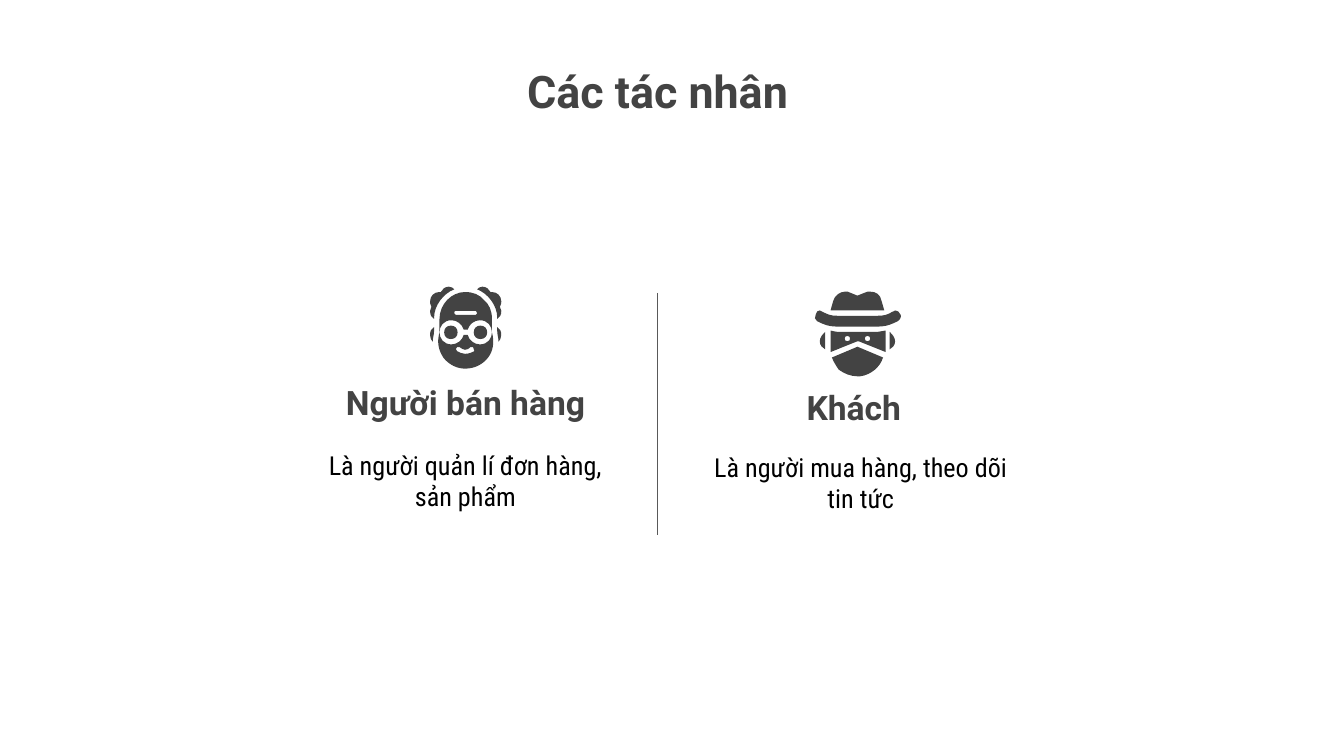
from lxml.etree import SubElement
from pptx import Presentation
from pptx.dml.color import RGBColor
from pptx.enum.shapes import MSO_CONNECTOR
from pptx.enum.text import MSO_ANCHOR, PP_ALIGN
from pptx.oxml.ns import qn
from pptx.util import Pt

CELL = 0.72

EAR = "3,30 1,31,0,33,0,36 0,38,1,40,2,41 2,38,3,36,3,33"
HAIR = ("14,0 11,0,9,2,8,4 8,4,7,4,7,4 3,4,0,7,0,11 0,12,0,13,1,15 0,16,0,17,0,18 "
        "0,21,1,23,3,24 3,23 3,14,10,5,18,2 17,1,16,0,14,0")
LENS = "15.5,29 12.5,29,10.5,31,10.5,34 10.5,37,12.5,39,15.5,39 18.5,39,20.5,37,20.5,34 20.5,31,18.5,29,15.5,29"
WRINKLE = "34,18 34,18,35,19,35,20 35,21,34,21,34,21 19,21 18,21,18,21,18,20 18,19,18,18,19,18"
GLASSES = ("37,25 49,25,49,43,37,43 33,43,29,40,28,36 25,36 24,40,20,43,16,43 "
           "4,43,4,25,16,25 20,25,24,28,25,32 28,32 29,28,33,25,37,25")
SMILE = ("31,45 32,45,32,45,32,45 33,46,33,47,33,48 31,49,29,50,26,50 24,50,22,49,20,48 "
         "19,47,19,46,20,45 20,45,21,45,21,45 22,45,22,45,22,45 23,46,25,47,26,47 "
         "28,47,29,46,30,45 30,45,31,45,31,45")
HEAD = ("26,4 16,4,7,13,7,24 7,34 5,41,6,47,10,53 14,58,20,61,26,61 "
        "33,61,39,58,43,53 47,48,48,41,46,34 46,24 46,18,44,13,40,10 37,6,32,4,26,4")

SIDE_EAR = "8,30 6,32,4,34,4,37 4,40,6,42,8,43"
CROWN = ("23,0 19,0,15,3,14,7 12,14 14,14,15,14,17,14 47,14 49,14,50,14,52,14 "
         "50,7 49,2,46,0,41,0 40,0,39,0,37,1 32,3 27,1 26,0,24,0,23,0")
BRIM = ("4,14 3,14,1,15,1,17 0,19,0,21,2,22 6,24,10,26,17,26 47,26 "
        "54,26,58,24,62,22 64,21,65,18,64,17 63,15,62,14,60,14 60,14,59,15,58,15 "
        "55,17,52,18,47,18 17,18 12,18,10,17,6,15 5,15,5,14,4,14")
EYE = "24.5,33 26,33,26.5,34,26.5,35 26.5,36,26,37,24.5,37 23,37,22.5,36,22.5,35 22.5,34,23,33,24.5,33"
FACE = ("12,29 12,42 12,43,12,44,12,45 32,37 32,37,32,37,32,37 32,37,33,37,33,37 "
        "53,45 53,44,53,43,53,42 53,29 51,29,49,30,47,30 17,30 15,30,13,29,12,29")
MASK = "32,41 13,49 14,52,16,55,18,58 22,61,27,63,32,63 34,63 42,62,49,56,51,49 32,41"


def color(value):
    return RGBColor.from_string(value)


def trace(contour):
    segments = []
    for segment in contour.split():
        n = [float(v) for v in segment.split(",")]
        segments.append(list(zip(n[::2], n[1::2])))
    return segments


def mirror(segments, width):
    return [[(width - x, y) for x, y in points] for points in segments]


class Slide:
    dark = "434343"
    black = "000000"
    rule = "595959"
    heading_font = "Roboto"
    body_font = "Roboto Condensed"
    inset = Pt(7.2)

    def __init__(self, prs):
        self.s = prs.slides.add_slide(prs.slide_layouts[6])

    def text(self, box, words, size, font, ink, bold=False, anchor=MSO_ANCHOR.TOP):
        tf = self.s.shapes.add_textbox(*map(Pt, box)).text_frame
        tf.word_wrap = True
        tf.vertical_anchor = anchor
        tf.margin_left = tf.margin_right = self.inset
        tf.margin_top = tf.margin_bottom = self.inset
        p = tf.paragraphs[0]
        p.alignment = PP_ALIGN.CENTER
        r = p.add_run()
        r.text = words
        r.font.name = font
        r.font.size = Pt(size)
        r.font.bold = bold
        r.font.color.rgb = color(ink)

    def heading(self, box, words, size, anchor):
        self.text(box, words, size, self.heading_font, self.dark, True, anchor)

    def body(self, box, words):
        self.text(box, words, 14, self.body_font, self.black)

    def divider(self, x, top, bottom):
        line = self.s.shapes.add_connector(MSO_CONNECTOR.STRAIGHT, Pt(x), Pt(top), Pt(x), Pt(bottom))
        line.line.color.rgb = color(self.rule)
        line.line.width = Pt(0.75)
        SubElement(line._element.spPr, qn("a:effectLst"))

    def icon(self, left, top, parts):
        group = self.s.shapes.add_group_shape()
        for contours in parts:
            self.outline(group, left, top, contours)

    def outline(self, group, left, top, contours):
        placed = [[[(Pt(left + x * CELL), Pt(top + y * CELL)) for x, y in points]
                   for points in segments] for segments in contours]
        builder = group.shapes.build_freeform(*placed[0][0][0], scale=1.0)
        for i, segments in enumerate(placed):
            if i:
                builder.move_to(*segments[0][0])
            builder.add_line_segments([points[-1] for points in segments[1:]], close=True)
        sp = builder.convert_to_shape()
        sp.shadow.inherit = False
        sp.fill.solid()
        sp.fill.fore_color.rgb = color(self.dark)
        sp.line.fill.background()
        drawn = [points for segments in placed for points in segments[1:]]
        for edge, points in zip(list(sp._element.iter(qn("a:lnTo"))), drawn):
            if len(points) == 3:
                edge.tag = qn("a:cubicBezTo")
                for i, (x, y) in enumerate(points[:2]):
                    edge.insert(i, edge.makeelement(qn("a:pt"), {
                        "x": str(x - builder.shape_offset_x),
                        "y": str(y - builder.shape_offset_y)}))


def main():
    prs = Presentation()
    prs.slide_width, prs.slide_height = Pt(720), Pt(405)
    slide = Slide(prs)

    slide.heading((147.1, 27, 410.4, 51.12), "Các tác nhân", 24, MSO_ANCHOR.TOP)
    actors = [
        ("Người bán hàng", (144.3, 199.44, 210.24, 33.84),
         "Là người quản lí đơn hàng, sản phẩm", (168.7, 233.5, 161.28, 79.2)),
        ("Khách", (352.3, 202.32, 210.24, 33.84),
         "Là người mua hàng, theo dõi tin tức", (373.68, 234.5, 174.96, 79.2)),
    ]
    for name, name_box, role, role_box in actors:
        slide.heading(name_box, name, 18, MSO_ANCHOR.BOTTOM)
        slide.body(role_box, role)
    slide.divider(352.3, 156.96, 286.56)

    ear, hair, lens = map(trace, (EAR, HAIR, LENS))
    head = [trace(c) for c in (WRINKLE, GLASSES, SMILE, HEAD)]
    slide.icon(230.4, 153.6, [[mirror(ear, 53)], [hair], [mirror(lens, 53)], [lens],
                              head, [mirror(hair, 53)], [ear]])

    side_ear, crown, brim, eye, face, mask = map(trace, (SIDE_EAR, CROWN, BRIM, EYE, FACE, MASK))
    slide.icon(436.32, 156.24, [[side_ear], [crown], [brim], [eye, mirror(eye, 64), face],
                                [mask], [mirror(side_ear, 64)]])

    prs.save("out.pptx")


if __name__ == "__main__":
    main()
